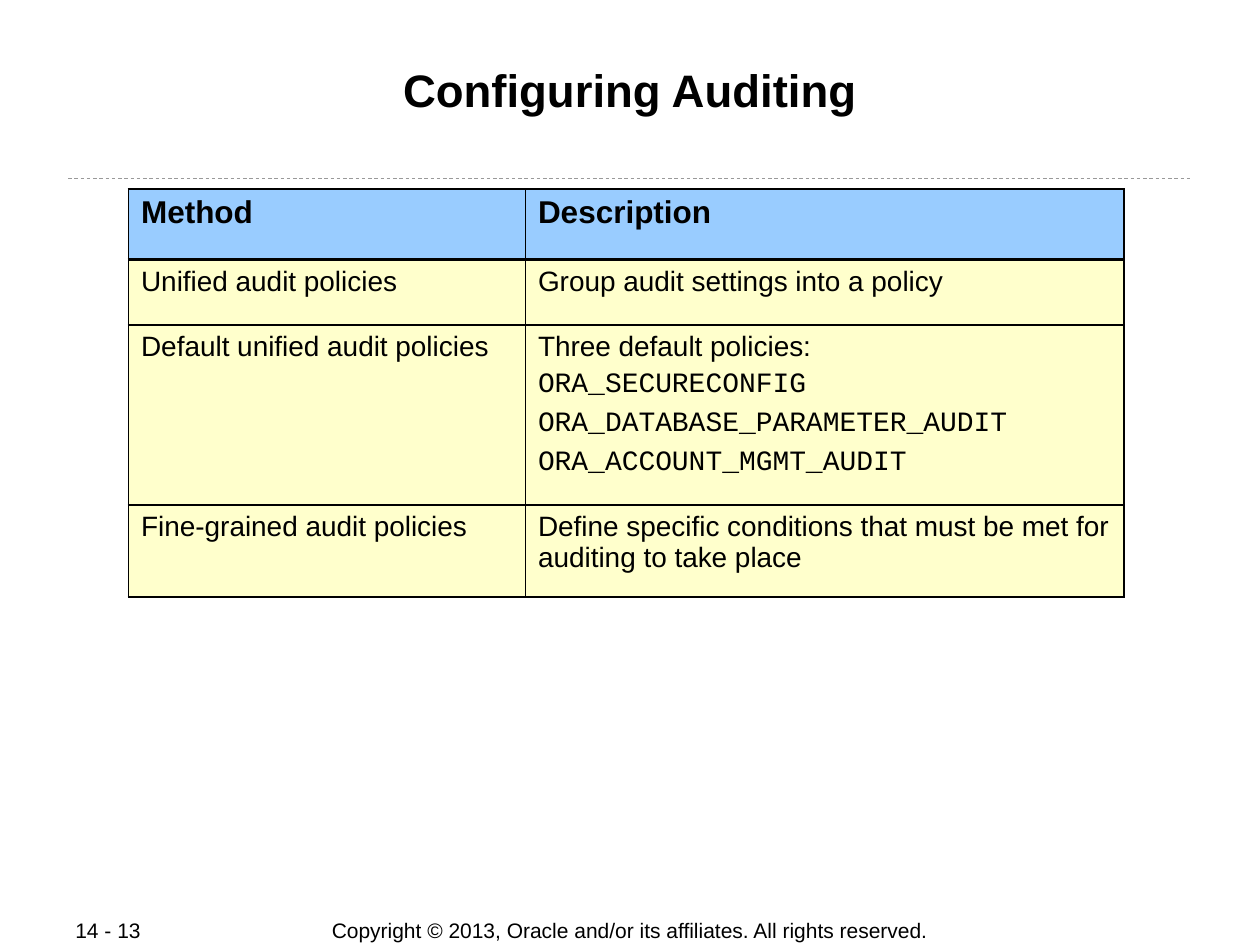
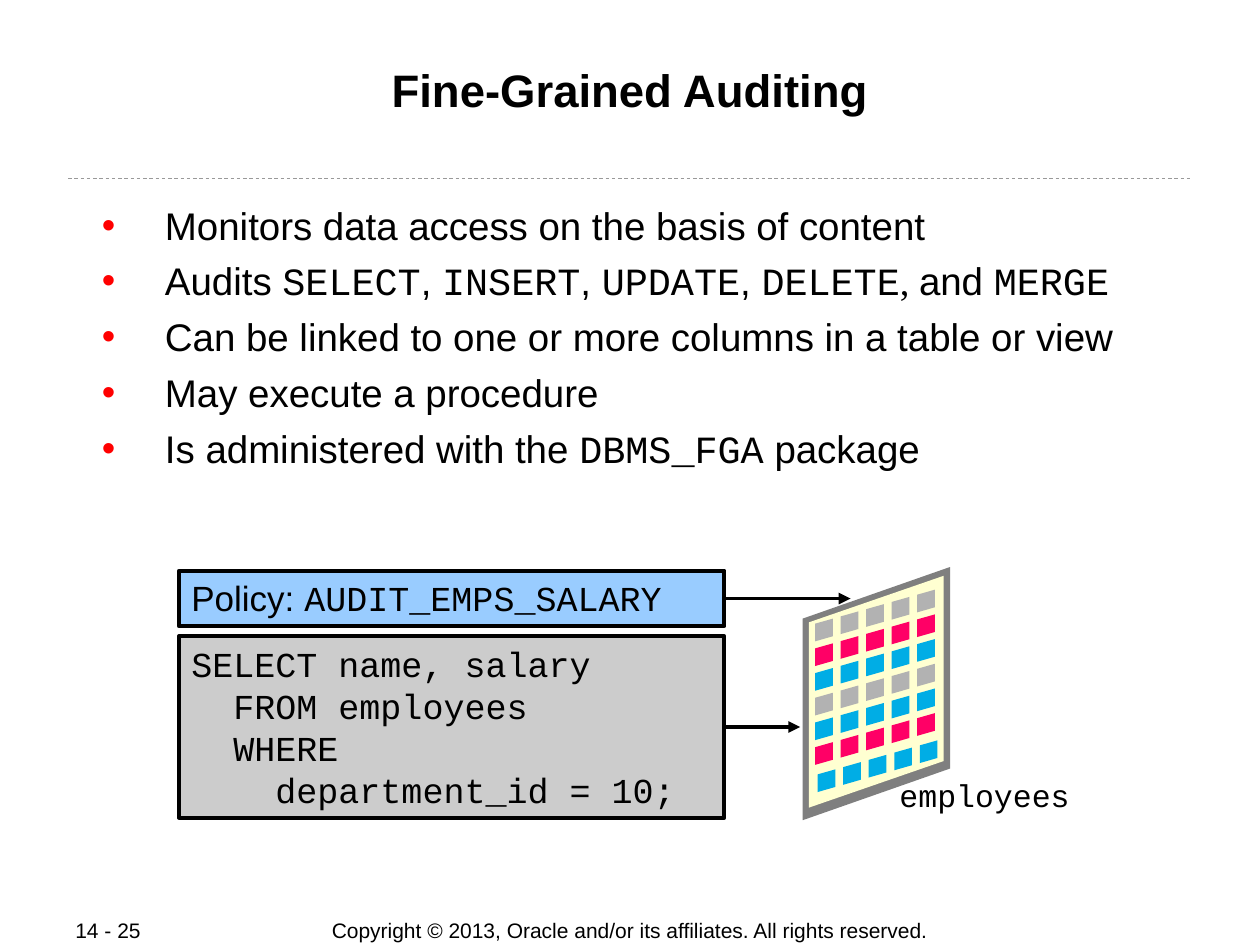
import pptx
import pptx.dml.color
import pptx.enum.dml
import pptx.enum.shapes
import pptx.enum.text
import pptx.oxml
import pptx.oxml.ns
import pptx.util

Inches = pptx.util.Inches
Pt = pptx.util.Pt
RGBColor = pptx.dml.color.RGBColor
ALIGN = pptx.enum.text.PP_ALIGN
ANCHOR = pptx.enum.text.MSO_ANCHOR

SANS, MONO, SERIF = "Arial", "Courier New", "Times New Roman"
BLACK = RGBColor(0x00, 0x00, 0x00)
RED = RGBColor(0xFF, 0x00, 0x00)
RULE_GRAY = RGBColor(0x99, 0x99, 0x99)
SKY = RGBColor(0x99, 0xCC, 0xFF)
CREAM = RGBColor(0xFF, 0xFF, 0xCC)
CODE_GRAY = RGBColor(0xCC, 0xCC, 0xCC)
FRAME_GRAY = RGBColor(0x7F, 0x7F, 0x7F)
SHEET = RGBColor(0xFF, 0xFF, 0xD1)
SILVER = RGBColor(0xB2, 0xB2, 0xB2)
PINK = RGBColor(0xFF, 0x00, 0x66)
CYAN = RGBColor(0x00, 0xAD, 0xE5)

# Content: a paragraph is a string or a list of (text, font) spans.
COPYRIGHT = "Copyright © 2013, Oracle and/or its affiliates. All rights reserved."
METHODS = [
    (["Method"], ["Description"]),
    (["Unified audit policies"], ["Group audit settings into a policy"]),
    (["Default unified audit policies"],
     ["Three default policies:",
      [("ORA_SECURECONFIG", MONO)],
      [("ORA_DATABASE_PARAMETER_AUDIT", MONO)],
      [("ORA_ACCOUNT_MGMT_AUDIT", MONO)]]),
    (["Fine-grained audit policies"],
     ["Define specific conditions that must be met for auditing to take place"]),
]
FEATURES = [
    "Monitors data access on the basis of content",
    [("Audits ", SANS), ("SELECT", MONO), (", ", SANS), ("INSERT", MONO),
     (", ", SANS), ("UPDATE", MONO), (", ", SANS), ("DELETE", MONO),
     (", ", SERIF), ("and ", SANS), ("MERGE", MONO)],
    "Can be linked to one or more columns in a table or view",
    "May execute a procedure",
    [("Is administered with the ", SANS), ("DBMS_FGA", MONO), (" package", SANS)],
]
POLICY = [[("Policy: ", SANS), ("AUDIT_EMPS_SALARY", MONO)]]
QUERY = ["SELECT name, salary", "  FROM employees", "  WHERE", "    department_id = 10;"]

# Layout, in inches
WIDTH, HEIGHT = 10, 7.5
MARGIN = 0.67
BODY_WIDTH = WIDTH - 2 * MARGIN
TABLE_LEFT, TABLE_TOP = 1.02, 1.5
COLUMN_WIDTHS = [3.15, 4.75]
ROW_HEIGHTS = [0.56, 0.52, 1.43, 0.73]
THIN, THICK = 1.08, 2.21
BOX_LEFT, BOX_WIDTH = 1.42, 4.33
PANELS = [  # left, right, top left, bottom left, rise to the right side, fill
    (6.37, 7.54, 4.91, 6.51, 0.41, FRAME_GRAY),
    (6.42, 7.49, 4.94, 6.41, 0.37, SHEET),
]
TILE_ROWS = [SILVER, PINK, CYAN, SILVER, CYAN, PINK, CYAN]
TILE_COLUMNS = 5
TILE_LEFT, TILE_TOP, TILE_SIDE, TILE_RISE = 6.47, 4.95, 0.14, 0.04
TILES_WIDTH, TILES_HEIGHT, TILES_RISE = 0.81, 0.98, 0.23  # first to last tile
COLUMN_STEP = TILES_WIDTH / (TILE_COLUMNS - 1)
COLUMN_RISE = TILES_RISE / (TILE_COLUMNS - 1)
ROW_STEP = TILES_HEIGHT / (len(TILE_ROWS) - 2)
LAST_ROW_SHIFT = 0.02


def add_xml(parent, tag, attributes="", inner=""):
    namespace = pptx.oxml.ns.nsdecls("a")
    parent.append(pptx.oxml.parse_xml(
        f"<a:{tag} {namespace} {attributes}>{inner}</a:{tag}>"))


def write(frame, paragraphs, size, font=SANS, bold=False, gap=0,
          align=ALIGN.LEFT, inset=(0.1, 0.05), bullet=False, wrap=True):
    """Fill a text frame; gap is the space between paragraphs in points."""
    frame.word_wrap = wrap
    frame.margin_left = frame.margin_right = Inches(inset[0])
    frame.margin_top = frame.margin_bottom = Inches(inset[1])
    for index, content in enumerate(paragraphs):
        para = frame.add_paragraph() if index else frame.paragraphs[0]
        para.alignment = align
        para.space_before = Pt(gap if index else 0)
        if bullet:
            properties = para._p.get_or_add_pPr()
            properties.set("marL", str(Inches(0.63)))
            properties.set("indent", str(Inches(-0.5)))
            add_xml(properties, "buClr", inner=f'<a:srgbClr val="{RED}"/>')
            add_xml(properties, "buFont", f'typeface="{SANS}"')
            add_xml(properties, "buChar", 'char="•"')
        spans = [(content, font)] if isinstance(content, str) else content
        for text, typeface in spans:
            span = para.add_run()
            span.text = text
            span.font.name = typeface
            span.font.size = Pt(size)
            span.font.bold = bold
            span.font.color.rgb = BLACK


def add_text(page, place, paragraphs, size, anchor=ANCHOR.TOP, **style):
    box = page.shapes.add_textbox(*map(Inches, place))
    box.text_frame.vertical_anchor = anchor
    write(box.text_frame, paragraphs, size, **style)


def add_line(page, start, end, color, width):
    line = page.shapes.add_connector(
        pptx.enum.shapes.MSO_CONNECTOR.STRAIGHT, *start, *end)
    line.line.color.rgb = color
    line.line.width = Pt(width)
    add_xml(line._element.spPr, "effectLst")
    return line


def add_page(deck, title, number):
    """Add a blank page with the shared title, rule and footers."""
    page = deck.slides.add_slide(deck.slide_layouts[6])
    add_text(page, (2.5, 7.28, WIDTH - 5, 0.21), [COPYRIGHT], 12,
             anchor=ANCHOR.MIDDLE, align=ALIGN.CENTER)
    rule = add_line(page, (Inches(0.54), Inches(1.42)),
                    (Inches(WIDTH - 0.54), Inches(1.42)), RULE_GRAY, 0.5)
    rule.line.dash_style = pptx.enum.dml.MSO_LINE.DASH
    add_text(page, (0.5, 7.28, 1.06, 0.21), [number], 12, anchor=ANCHOR.MIDDLE)
    add_text(page, (MARGIN, 0.48, BODY_WIDTH, 0.96), [title], 26, bold=True,
             align=ALIGN.CENTER, inset=(0.01, 0.01))
    return page


def set_borders(cell, top, bottom):
    for side, width in (("L", THIN), ("R", THIN), ("T", top), ("B", bottom)):
        add_xml(cell._tc.get_or_add_tcPr(), f"ln{side}", f'w="{Pt(width)}"',
                f'<a:solidFill><a:srgbClr val="{BLACK}"/></a:solidFill>')


def add_methods_table(page):
    table = page.shapes.add_table(
        len(METHODS), len(COLUMN_WIDTHS), Inches(TABLE_LEFT), Inches(TABLE_TOP),
        Inches(sum(COLUMN_WIDTHS)), Inches(sum(ROW_HEIGHTS))).table
    table.first_row = table.horz_banding = False
    for column, width in zip(table.columns, COLUMN_WIDTHS):
        column.width = Inches(width)
    for index, (row, height) in enumerate(zip(table.rows, ROW_HEIGHTS)):
        row.height = Inches(height)
        header = index == 0
        for cell, paragraphs in zip(row.cells, METHODS[index]):
            write(cell.text_frame, paragraphs, 18 if header else 16,
                  bold=header, gap=4)
            set_borders(cell, THICK if index == 1 else THIN,
                        THICK if header else THIN)
            cell.fill.solid()
            cell.fill.fore_color.rgb = SKY if header else CREAM


def add_box(page, top, height, fill, paragraphs, font):
    box = page.shapes.add_shape(
        pptx.enum.shapes.MSO_SHAPE.RECTANGLE,
        *map(Inches, (BOX_LEFT, top, BOX_WIDTH, height)))
    box.shadow.inherit = False
    box.fill.solid()
    box.fill.fore_color.rgb = fill
    box.line.color.rgb = BLACK
    box.line.width = Pt(2.25)
    box.text_frame.vertical_anchor = ANCHOR.TOP
    write(box.text_frame, paragraphs, 20, font=font)
    return box


def add_arrow(page, box, end):
    """Draw a level arrow from the right side of a box."""
    middle = box.top + box.height // 2
    arrow = add_line(page, (box.left + box.width, middle),
                     (Inches(end), middle), BLACK, 2.25)
    arrow.begin_connect(box, 3)
    add_xml(arrow.line._get_or_add_ln(), "tailEnd", 'type="triangle"')


def add_slanted(page, left, right, top, bottom, rise, fill):
    """Draw an upright parallelogram whose right side is higher by rise."""
    corners = [(left, top), (right, top - rise), (right, bottom - rise), (left, bottom)]
    start, *others = [(Inches(x), Inches(y)) for x, y in corners]
    builder = page.shapes.build_freeform(*start)
    builder.add_line_segments(others, close=True)
    shape = builder.convert_to_shape()
    shape.shadow.inherit = False
    shape.fill.solid()
    shape.fill.fore_color.rgb = fill
    shape.line.fill.background()


def add_employees(page):
    for panel in PANELS:
        add_slanted(page, *panel)
    for row, color in enumerate(TILE_ROWS):
        shift = LAST_ROW_SHIFT if row == len(TILE_ROWS) - 1 else 0
        for column in range(TILE_COLUMNS):
            left = TILE_LEFT + column * COLUMN_STEP + shift
            top = TILE_TOP + row * ROW_STEP - column * COLUMN_RISE + shift
            add_slanted(page, left, left + TILE_SIDE, top, top + TILE_SIDE,
                        TILE_RISE, color)
    add_text(page, (7.04, 6.11, 1.55, 0.4), ["employees"], 18, font=MONO, wrap=False)


def main():
    deck = pptx.Presentation()
    deck.slide_width, deck.slide_height = Inches(WIDTH), Inches(HEIGHT)

    add_methods_table(add_page(deck, "Configuring Auditing", "14 - 13"))

    page = add_page(deck, "Fine-Grained Auditing", "14 - 25")
    add_text(page, (MARGIN, 1.59, BODY_WIDTH, 2.18), FEATURES, 22, gap=5.5,
             inset=(0.01, 0.01), bullet=True)
    policy = add_box(page, 4.53, 0.44, SKY, POLICY, SANS)
    query = add_box(page, 5.05, 1.44, CODE_GRAY, QUERY, MONO)
    add_arrow(page, policy, 6.75)
    add_arrow(page, query, 6.35)
    add_employees(page)

    deck.save("out.pptx")


if __name__ == "__main__":
    main()
